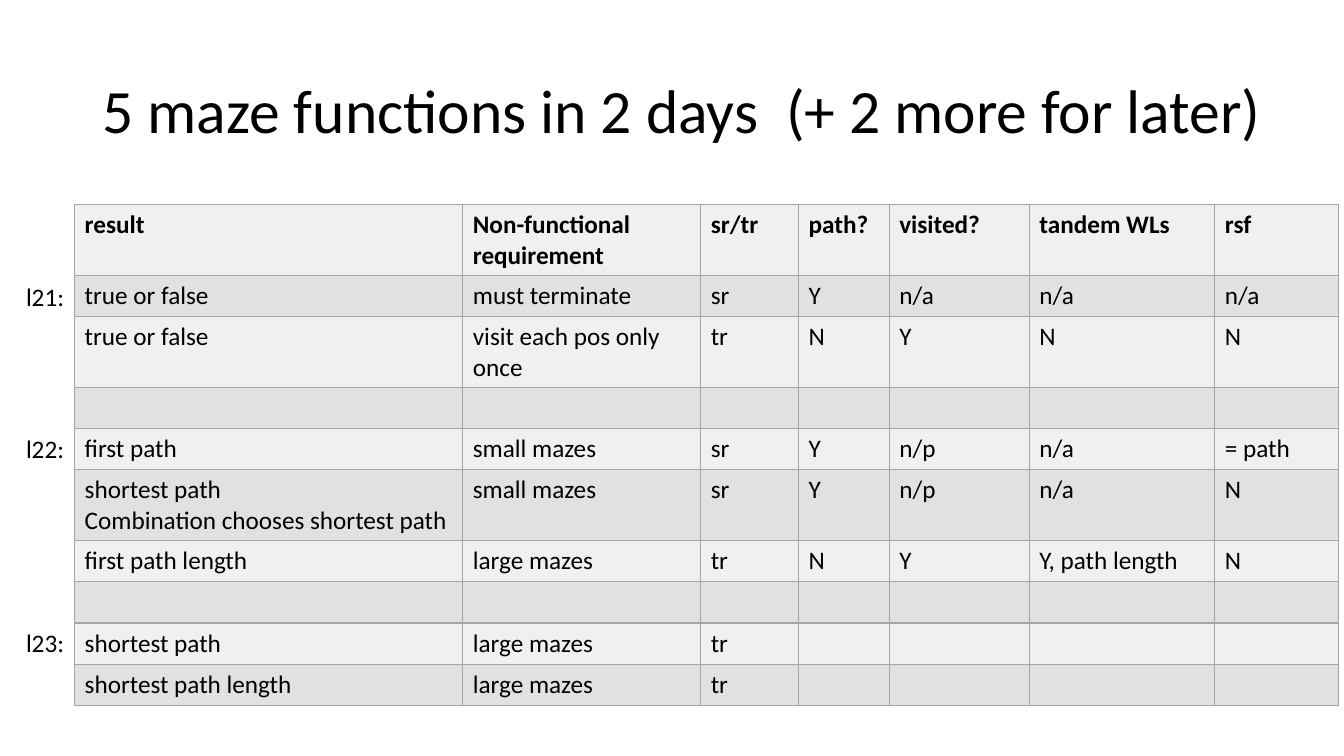
from lxml import etree
from pptx import Presentation
from pptx.dml.color import RGBColor
from pptx.enum.text import MSO_ANCHOR, MSO_AUTO_SIZE
from pptx.oxml.ns import qn
from pptx.util import Inches, Pt

BLACK = RGBColor(0x00, 0x00, 0x00)
BORDER_GREY = RGBColor(0xA5, 0xA5, 0xA5)
BANDS = (RGBColor(0xF0, 0xF0, 0xF0), RGBColor(0xE1, 0xE1, 0xE1))

TITLE = "5 maze functions in 2 days  (+ 2 more for later)"
COLUMN_WIDTHS = (3.85, 2.36, 0.97, 0.9, 1.39, 1.84, 1.23)
ROW_HEIGHT = 0.41
MAZE_FUNCTIONS = (
    ("result", "Non-functional requirement", "sr/tr", "path?", "visited?", "tandem WLs", "rsf"),
    ("true or false", "must terminate", "sr", "Y", "n/a", "n/a", "n/a"),
    ("true or false", "visit each pos only once", "tr", "N", "Y", "N", "N"),
    (),
    ("first path", "small mazes", "sr", "Y", "n/p", "n/a", "= path"),
    ("shortest path\nCombination chooses shortest path", "small mazes", "sr", "Y", "n/p", "n/a", "N"),
    ("first path length", "large mazes", "tr", "N", "Y", "Y, path length", "N"),
    (),
    ("shortest path", "large mazes", "tr"),
    ("shortest path length", "large mazes", "tr"),
)
LECTURE_TOPS = {"l21:": 2.74, "l22:": 4.25, "l23:": 6.17}


def write_text(frame, text, size, bold=False):
    frame.text = text
    font_format = {"name": "Calibri", "size": Pt(size), "bold": bold}
    for para in frame.paragraphs:
        for span in para.runs:
            for name, value in font_format.items():
                setattr(span.font, name, value)
            span.font.color.rgb = BLACK


def add_text(page, box, text, size, **frame_format):
    frame = page.shapes.add_textbox(*map(Inches, box)).text_frame
    frame.word_wrap = True
    for name, value in frame_format.items():
        setattr(frame, name, value)
    write_text(frame, text, size)
    return frame


def add_title(page, box):
    frame = add_text(page, box, TITLE, 44, vertical_anchor=MSO_ANCHOR.MIDDLE)
    frame.paragraphs[0].line_spacing = 0.9


def add_borders(cell):
    properties = cell._tc.get_or_add_tcPr()
    for side in ("lnL", "lnR", "lnT", "lnB"):
        line = etree.SubElement(properties, qn(f"a:{side}"), w=str(Pt(1)))
        fill = etree.SubElement(line, qn("a:solidFill"))
        etree.SubElement(fill, qn("a:srgbClr"), val=str(BORDER_GREY))


def add_maze_table(page, left, top):
    row_count, column_count = len(MAZE_FUNCTIONS), len(COLUMN_WIDTHS)
    box = (left, top, sum(COLUMN_WIDTHS), row_count * ROW_HEIGHT)
    table = page.shapes.add_table(row_count, column_count, *map(Inches, box)).table
    for column, width in zip(table.columns, COLUMN_WIDTHS):
        column.width = Inches(width)
    for row_index, texts in enumerate(MAZE_FUNCTIONS):
        for column_index in range(column_count):
            cell = table.cell(row_index, column_index)
            add_borders(cell)
            cell.fill.solid()
            cell.fill.fore_color.rgb = BANDS[row_index % 2]
            if column_index < len(texts):
                write_text(cell.text_frame, texts[column_index], 18, bold=row_index == 0)


def add_lecture_labels(page, left, width, height):
    for label, top in LECTURE_TOPS.items():
        add_text(page, (left, top, width, height), label, 18,
                 auto_size=MSO_AUTO_SIZE.SHAPE_TO_FIT_TEXT)


def main():
    deck = Presentation()
    deck.slide_width, deck.slide_height = Inches(13.33), Inches(7.5)
    page = deck.slides.add_slide(deck.slide_layouts[6])
    add_title(page, (0.92, 0.4, 12.07, 1.45))
    add_maze_table(page, 0.74, 2.03)
    add_lecture_labels(page, 0.16, 0.76, 0.4)
    deck.save("out.pptx")


if __name__ == "__main__":
    main()
